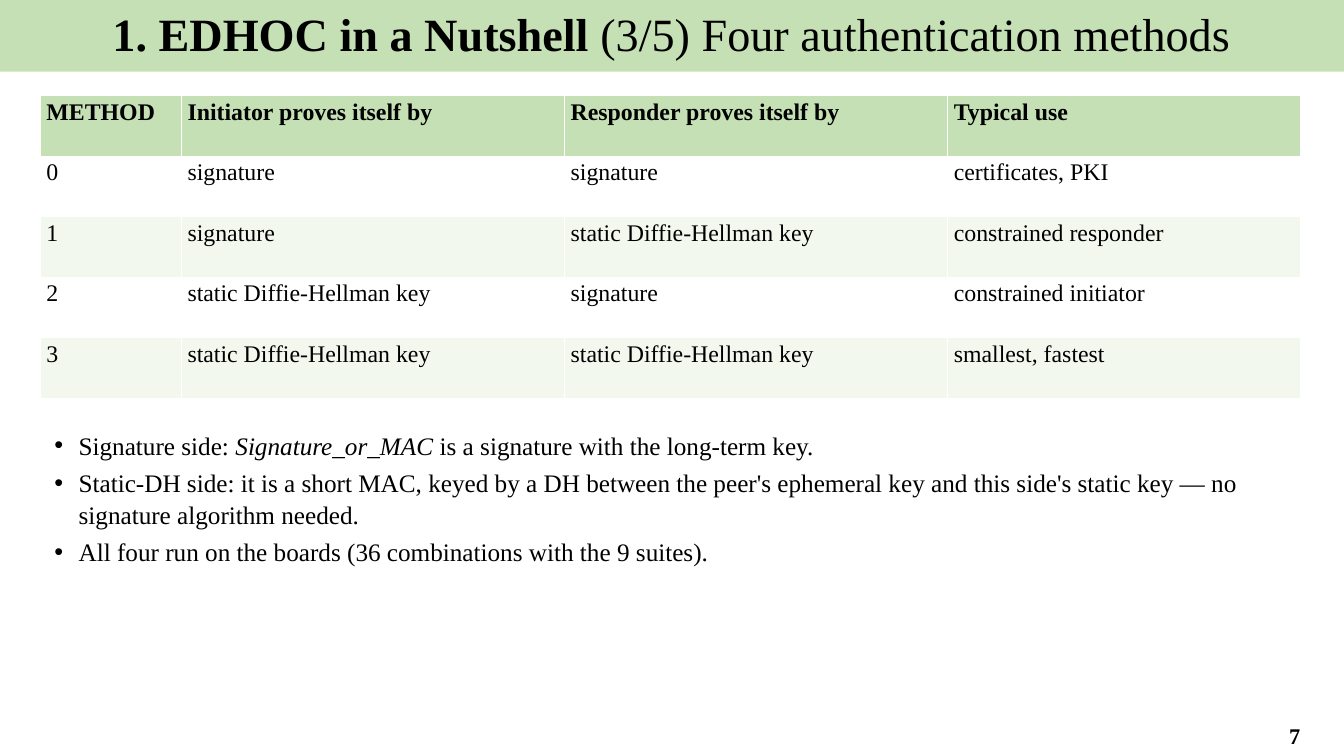
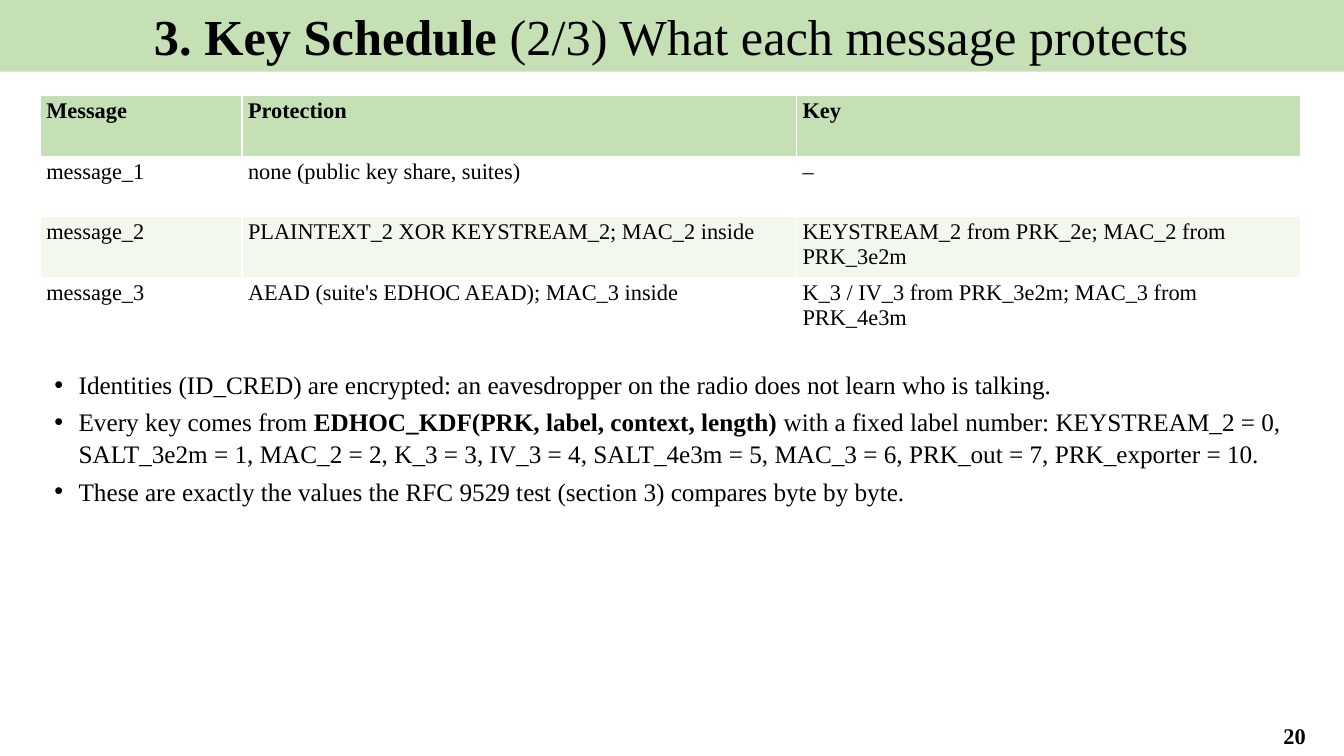
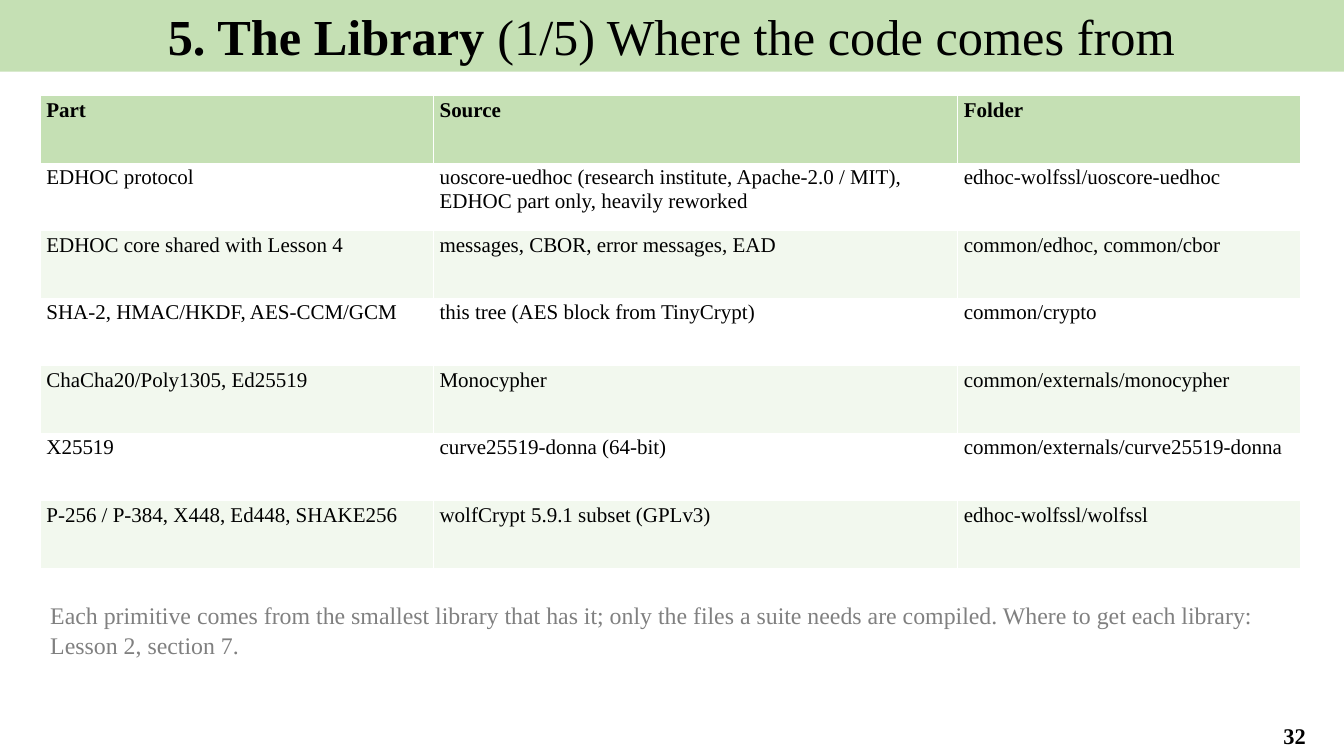
from lxml import etree
from pptx import Presentation
from pptx.dml.color import RGBColor
from pptx.enum.text import MSO_ANCHOR, MSO_AUTO_SIZE, PP_ALIGN
from pptx.oxml.ns import qn
from pptx.util import Emu, Pt

CENTER = PP_ALIGN.CENTER
TOP = MSO_ANCHOR.TOP
MIDDLE = MSO_ANCHOR.MIDDLE
NO_AUTOFIT = MSO_AUTO_SIZE.NONE

BLACK = RGBColor(0x00, 0x00, 0x00)
WHITE = RGBColor(0xFF, 0xFF, 0xFF)
GRAY = RGBColor(0x80, 0x80, 0x80)
GREEN = RGBColor(0xC5, 0xE0, 0xB4)
PALE_GREEN = RGBColor(0xF2, 0xF8, 0xEE)

FONT_NAME = "Times New Roman"
EMU_PER_PX = 9144  # 100 px to the inch
SLIDE_WIDTH, SLIDE_HEIGHT = 1333, 750
LEFT, CONTENT_WIDTH = 40, 1250
TABLE_TOP = 95
LIST_LAYOUT, TITLE_ONLY_LAYOUT = 1, 5

BOLD = {"bold": True}
ITALIC = {"italic": True}

METHOD_ROWS = [
    ["METHOD", "Initiator proves itself by", "Responder proves itself by", "Typical use"],
    ["0", "signature", "signature", "certificates, PKI"],
    ["1", "signature", "static Diffie-Hellman key", "constrained responder"],
    ["2", "static Diffie-Hellman key", "signature", "constrained initiator"],
    ["3", "static Diffie-Hellman key", "static Diffie-Hellman key", "smallest, fastest"],
]
METHOD_POINTS = [
    [("Signature side: ", {}), ("Signature_or_MAC", ITALIC),
     (" is a signature with the long-term key.", {})],
    [("Static-DH side: it is a short MAC, keyed by a DH between the peer's ephemeral key "
      "and this side's static key — no signature algorithm needed.", {})],
    [("All four run on the boards (36 combinations with the 9 suites).", {})],
]
MESSAGE_ROWS = [
    ["Message", "Protection", "Key"],
    ["message_1", "none (public key share, suites)", "–"],
    ["message_2", "PLAINTEXT_2 XOR KEYSTREAM_2; MAC_2 inside",
     "KEYSTREAM_2 from PRK_2e; MAC_2 from PRK_3e2m"],
    ["message_3", "AEAD (suite's EDHOC AEAD); MAC_3 inside",
     "K_3 / IV_3 from PRK_3e2m; MAC_3 from PRK_4e3m"],
]
MESSAGE_POINTS = [
    [("Identities (ID_CRED) are encrypted: an eavesdropper on the radio does not learn "
      "who is talking.", {})],
    [("Every key comes from ", {}), ("EDHOC_KDF(PRK, label, context, length)", BOLD),
     (" with a fixed label number: KEYSTREAM_2 = 0, SALT_3e2m = 1, MAC_2 = 2, K_3 = 3, "
      "IV_3 = 4, SALT_4e3m = 5, MAC_3 = 6, PRK_out = 7, PRK_exporter = 10.", {})],
    [("These are exactly the values the RFC 9529 test (section 3) compares byte by byte.", {})],
]
LIBRARY_ROWS = [
    ["Part", "Source", "Folder"],
    ["EDHOC protocol",
     "uoscore-uedhoc (research institute, Apache-2.0 / MIT), EDHOC part only, heavily reworked",
     "edhoc-wolfssl/uoscore-uedhoc"],
    ["EDHOC core shared with Lesson 4", "messages, CBOR, error messages, EAD",
     "common/edhoc, common/cbor"],
    ["SHA-2, HMAC/HKDF, AES-CCM/GCM", "this tree (AES block from TinyCrypt)", "common/crypto"],
    ["ChaCha20/Poly1305, Ed25519", "Monocypher", "common/externals/monocypher"],
    ["X25519", "curve25519-donna (64-bit)", "common/externals/curve25519-donna"],
    ["P-256 / P-384, X448, Ed448, SHAKE256", "wolfCrypt 5.9.1 subset (GPLv3)",
     "edhoc-wolfssl/wolfssl"],
]
LIBRARY_NOTE = ("Each primitive comes from the smallest library that has it; only the files a "
                "suite needs are compiled. Where to get each library: Lesson 2, section 7.")


def px(length):
    return Emu(length * EMU_PER_PX)


def place(shape, left, top, width, height):
    box = {"left": left, "top": top, "width": width, "height": height}
    for name, length in box.items():
        setattr(shape, name, px(length))


def set_frame(frame, anchor=TOP):
    settings = {"word_wrap": True, "auto_size": NO_AUTOFIT, "vertical_anchor": anchor}
    for name, value in settings.items():
        setattr(frame, name, value)


def write(para, spans, size, color=BLACK):
    """Fill a paragraph with (text, font changes) spans."""
    for text, changes in spans:
        span = para.add_run()
        span.text = text
        span.font.color.rgb = color
        font = {"name": FONT_NAME, "size": Pt(size), "bold": False, "italic": False} | changes
        for name, value in font.items():
            setattr(span.font, name, value)


def space_lines(para):
    spacing = {"line_spacing": 1.05, "space_before": Pt(0), "space_after": Pt(4)}
    for name, value in spacing.items():
        setattr(para, name, value)


def add_bullet(para):
    properties = para._p.get_or_add_pPr()
    properties.set("marL", str(px(28)))
    properties.set("indent", str(px(-24)))
    etree.SubElement(properties, qn("a:buChar"), char="•")


def add_page(deck, layout, section, topic, number, title_size=36):
    """Add a slide with the title band and page number that all slides share."""
    page = deck.slides.add_slide(deck.slide_layouts[layout])
    title = page.shapes.title
    place(title, -1, 0, SLIDE_WIDTH + 1, 71)
    title.fill.solid()
    title.fill.fore_color.rgb = GREEN
    set_frame(title.text_frame)
    para = title.text_frame.paragraphs[0]
    para.alignment = CENTER
    write(para, [(section + " ", BOLD), (topic, {})], title_size)

    number_box = page.shapes.add_textbox(px(1235), px(710), px(98), px(39))
    set_frame(number_box.text_frame, MIDDLE)
    para = number_box.text_frame.paragraphs[0]
    para.alignment = CENTER
    write(para, [(str(number), BOLD)], 16)
    return page


def add_grid(page, rows, column_widths, row_height, size):
    """Add a table with a green header and pale green on every second body row."""
    table = page.shapes.add_table(
        len(rows), len(column_widths), px(LEFT), px(TABLE_TOP),
        px(CONTENT_WIDTH), px(row_height * len(rows))).table
    for column, width in zip(table.columns, column_widths):
        column.width = px(width)
    margins = {"margin_left": 6, "margin_right": 6, "margin_top": 3, "margin_bottom": 3}
    for row_index, texts in enumerate(rows):
        is_header = row_index == 0
        fill_color = GREEN if is_header else (WHITE if row_index % 2 else PALE_GREEN)
        for column_index, text in enumerate(texts):
            cell = table.cell(row_index, column_index)
            cell.fill.solid()
            cell.fill.fore_color.rgb = fill_color
            for name, length in margins.items():
                setattr(cell, name, px(length))
            write(cell.text_frame.paragraphs[0], [(text, {"bold": is_header})], size)


def fill_list(page, points, top, height):
    body = page.placeholders[1]
    place(body, LEFT, top, CONTENT_WIDTH, height)
    frame = body.text_frame
    set_frame(frame)
    for index, spans in enumerate(points):
        para = frame.add_paragraph() if index else frame.paragraphs[0]
        add_bullet(para)
        space_lines(para)
        write(para, spans, 18)


def add_note(page, text, top, height):
    note = page.shapes.add_textbox(px(LEFT), px(top), px(CONTENT_WIDTH), px(height))
    set_frame(note.text_frame)
    para = note.text_frame.paragraphs[0]
    space_lines(para)
    write(para, [(text, {})], 17, GRAY)


def main():
    deck = Presentation()
    deck.slide_width, deck.slide_height = px(SLIDE_WIDTH), px(SLIDE_HEIGHT)

    page = add_page(deck, LIST_LAYOUT, "1. EDHOC in a Nutshell",
                    "(3/5) Four authentication methods", 7, title_size=33)
    add_grid(page, METHOD_ROWS, [140, 380, 380, 350], 60, 17)
    fill_list(page, METHOD_POINTS, 420, 260)

    page = add_page(deck, LIST_LAYOUT, "3. Key Schedule",
                    "(2/3) What each message protects", 20)
    add_grid(page, MESSAGE_ROWS, [200, 550, 500], 60, 16)
    fill_list(page, MESSAGE_POINTS, 360, 330)

    page = add_page(deck, TITLE_ONLY_LAYOUT, "5. The Library",
                    "(1/5) Where the code comes from", 32)
    add_grid(page, LIBRARY_ROWS, [390, 520, 340], 67, 15)
    add_note(page, LIBRARY_NOTE, 590, 80)

    deck.save("out.pptx")


if __name__ == "__main__":
    main()
